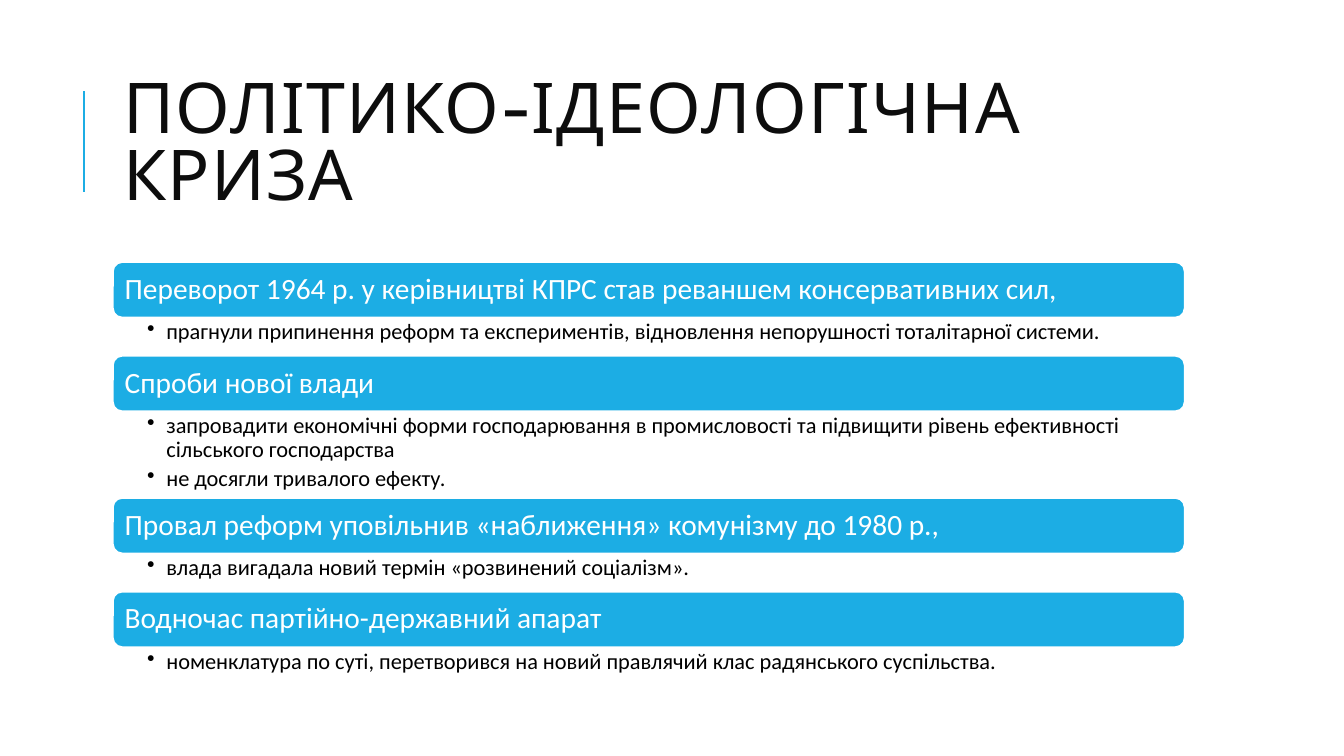
from lxml import etree
from pptx import Presentation
from pptx import util as u
from pptx.dml.color import RGBColor
from pptx.enum import shapes, text
from pptx.oxml.ns import qn

BLUE, WHITE, BLACK, INK = "1CADE4", "FFFFFF", "000000", "0D0D0D"
LEFT, WIDTH, TOP, BAR = 1.12, 10.63, 2.6, 0.55

# Heading, points, height of the points
PARTS = [
    ("Переворот 1964 р. у керівництві КПРС став реваншем консервативних сил,",
     ["прагнули припинення реформ та експериментів, відновлення непорушності "
      "тоталітарної системи."], 0.38),
    ("Спроби нової влади",
     ["запровадити економічні форми господарювання в промисловості та підвищити "
      "рівень ефективності сільського господарства",
      "не досягли тривалого ефекту."], 0.86),
    ("Провал реформ уповільнив «наближення» комунізму до 1980 р.,",
     ["влада вигадала новий термін «розвинений соціалізм»."], 0.38),
    ("Водночас партійно-державний апарат",
     ["номенклатура по суті, перетворився на новий правлячий клас "
      "радянського суспільства."], 0.38),
]


def paint(obj, color):
    obj.rgb = RGBColor.from_string(color)


def apply(obj, props):
    for name, value in props.items():
        setattr(obj, name, value)


def set_frame(frame, sides, anchor):
    names = ("margin_left", "margin_top", "margin_right", "margin_bottom")
    apply(frame, dict(zip(names, map(u.Inches, sides))))
    apply(frame, {"word_wrap": True, "vertical_anchor": anchor,
                  "auto_size": text.MSO_AUTO_SIZE.NONE})


def write(para, words, font, size, color, spacing=0.9):
    apply(para, {"alignment": text.PP_ALIGN.LEFT, "line_spacing": spacing})
    run = para.add_run()
    run.text = words
    apply(run.font, {"name": font, "size": u.Pt(size)})
    paint(run.font.color, color)
    return run


def add_bullet(para):
    props = para._p.get_or_add_pPr()
    props.set("marL", str(u.Inches(0.19)))
    props.set("indent", str(u.Inches(-0.19)))
    etree.SubElement(props, qn("a:buChar")).set("char", "•")


def add_title(slide, words):
    title = slide.shapes.title
    apply(title, {"left": u.Inches(LEFT), "top": u.Inches(0.64),
                  "width": u.Inches(WIDTH), "height": u.Inches(1.64)})
    set_frame(title.text_frame, (0.1, 0.05, 0.1, 0.05), text.MSO_ANCHOR.MIDDLE)
    run = write(title.text_frame.paragraphs[0], words, "Cabin", 50, INK, 0.8)
    run.font._element.set("spc", "100")


def add_rule(slide):
    x = u.Inches(0.83)
    rule = slide.shapes.add_connector(
        shapes.MSO_CONNECTOR.STRAIGHT, x, u.Inches(1.9), x, u.Inches(0.9))
    paint(rule.line.color, BLUE)
    rule.line.width = u.Pt(1.5)
    etree.SubElement(rule._element.spPr, qn("a:effectLst"))


def add_bar(slide, top, words):
    bar = slide.shapes.add_shape(
        shapes.MSO_SHAPE.ROUNDED_RECTANGLE, u.Inches(LEFT), u.Inches(top),
        u.Inches(WIDTH), u.Inches(BAR))
    bar.shadow.inherit = False
    bar.fill.solid()
    paint(bar.fill.fore_color, BLUE)
    paint(bar.line.color, WHITE)
    bar.line.width = u.Pt(1.25)
    # The rounded corner adds 0.03 to the left inset
    set_frame(bar.text_frame, (0.09, 0.09, 0.09, 0.09), text.MSO_ANCHOR.MIDDLE)
    write(bar.text_frame.paragraphs[0], words, "Calibri", 21, WHITE)


def add_list(slide, top, height, points):
    box = slide.shapes.add_textbox(
        u.Inches(LEFT), u.Inches(top), u.Inches(WIDTH), u.Inches(height))
    frame = box.text_frame
    set_frame(frame, (0.34, 0.03, 0.16, 0.03), text.MSO_ANCHOR.TOP)
    for i, point in enumerate(points):
        para = frame.add_paragraph() if i else frame.paragraphs[0]
        para.level = 1
        add_bullet(para)
        para.space_after = u.Pt(3.2)
        write(para, point, "Calibri", 16, BLACK)


def main():
    deck = Presentation()
    deck.slide_width, deck.slide_height = u.Inches(13.33), u.Inches(7.5)
    slide = deck.slides.add_slide(deck.slide_layouts[5])

    # Heading
    add_rule(slide)
    add_title(slide, "ПОЛІТИКО-ІДЕОЛОГІЧНА КРИЗА")

    # Bars stacked with their points
    top = TOP
    for head, points, height in PARTS:
        add_bar(slide, top, head)
        add_list(slide, top + BAR, height, points)
        top += BAR + height

    deck.save("out.pptx")


if __name__ == "__main__":
    main()
